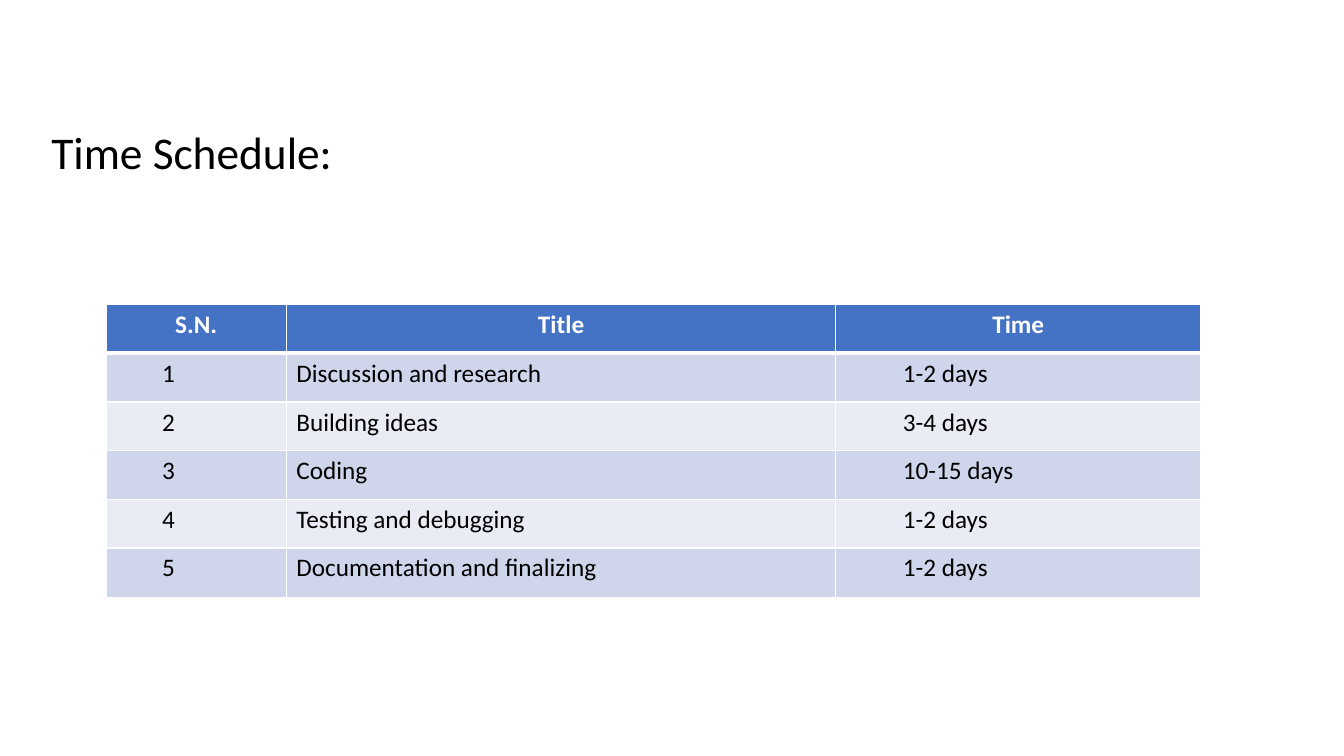
from dataclasses import dataclass

from lxml import etree
from pptx import Presentation
from pptx import util as u
from pptx.dml.color import RGBColor
from pptx.enum import text
from pptx.oxml import ns


@dataclass(frozen=True)
class Theme:
    """Colours and type sizes of the slide."""
    font: str = "Calibri"
    title_size: float = 32.4
    table_size: float = 18
    ink: str = "000000"
    paper: str = "FFFFFF"
    header: str = "4472C4"
    bands: tuple = ("CFD5EA", "E9EBF5")
    rule: float = 1
    header_rule: float = 3


def write(tf, content, *, font, size, color, bold=False,
          align=text.PP_ALIGN.LEFT, spacing=None):
    """Write one formatted paragraph into a text frame."""
    p = tf.paragraphs[0]
    p.alignment = align
    if spacing:
        p.line_spacing = spacing
    r = p.add_run()
    r.text = content
    r.font.name, r.font.size, r.font.bold = font, u.Pt(size), bold
    r.font.color.rgb = RGBColor.from_string(color)


def add_borders(cell, color, widths):
    """Draw cell borders; widths maps each side to points."""
    tc_pr = cell._tc.get_or_add_tcPr()
    for side in ("L", "R", "T", "B"):
        ln = etree.SubElement(tc_pr, ns.qn(f"a:ln{side}"), w=str(u.Pt(widths[side])))
        fill = etree.SubElement(ln, ns.qn("a:solidFill"))
        etree.SubElement(fill, ns.qn("a:srgbClr"), val=color)


class Deck:
    """Holds the theme and current slide; lengths are percent of slide size."""

    def __init__(self, prs, theme):
        """Add a blank slide to the presentation."""
        self.prs, self.theme = prs, theme
        self.s = prs.slides.add_slide(prs.slide_layouts[6])

    def x(self, share):
        """Convert a percentage of the slide width."""
        return round(self.prs.slide_width * share / 100)

    def y(self, share):
        """Convert a percentage of the slide height."""
        return round(self.prs.slide_height * share / 100)

    def title(self, content, left, top, width, height):
        """Add the slide title."""
        t = self.theme
        sp = self.s.shapes.add_textbox(self.x(left), self.y(top),
                                       self.x(width), self.y(height))
        tf = sp.text_frame
        tf.word_wrap = True
        tf.vertical_anchor = text.MSO_ANCHOR.MIDDLE
        write(tf, content, font=t.font, size=t.title_size, color=t.ink, spacing=0.9)

    def table(self, rows, left, top, widths, heights, indents):
        """Add a banded table whose first row is the header."""
        frame = self.s.shapes.add_table(
            len(rows), len(widths), self.x(left), self.y(top),
            self.x(sum(widths)), self.y(sum(heights)))
        table = frame.table
        table.first_row = table.horz_banding = False
        for column, width in zip(table.columns, widths):
            column.width = self.x(width)
        for i, (row, height) in enumerate(zip(rows, heights)):
            table.rows[i].height = self.y(height)
            for j, content in enumerate(row):
                self.cell(table.cell(i, j), content, i, indents[j])

    def cell(self, cell, content, row, indent):
        """Style and fill in one table cell."""
        t = self.theme
        is_header = row == 0
        widths = dict.fromkeys("LRTB", t.rule)
        if row < 2:
            widths["B" if is_header else "T"] = t.header_rule
        add_borders(cell, t.paper, widths)
        cell.fill.solid()
        fill = t.header if is_header else t.bands[(row - 1) % 2]
        cell.fill.fore_color.rgb = RGBColor.from_string(fill)
        if not is_header:
            cell.margin_left = self.x(indent)
        write(cell.text_frame, content, font=t.font, size=t.table_size,
              color=t.paper if is_header else t.ink, bold=is_header,
              align=text.PP_ALIGN.CENTER if is_header else text.PP_ALIGN.LEFT)


def main():
    """Build the time schedule slide."""
    prs = Presentation()
    prs.slide_width, prs.slide_height = u.Inches(13.33), u.Inches(7.5)
    deck = Deck(prs, Theme())
    deck.title("Time Schedule:", 3.08, 16.4, 77.2, 8.13)
    tasks = [
        ("Discussion and research", "1-2 days"),
        ("Building ideas", "3-4 days"),
        ("Coding", "10-15 days"),
        ("Testing and debugging", "1-2 days"),
        ("Documentation and finalizing", "1-2 days"),
    ]
    schedule = [("S.N.", "Title", "Time")]
    schedule += [(str(n), *task) for n, task in enumerate(tasks, 1)]
    deck.table(schedule, left=7.88, top=40.3, widths=(13.43, 40.88, 27.15),
               heights=[6.44] * len(tasks) + [6.6], indents=(4.18, 0.75, 5))
    prs.save("out.pptx")


main()
